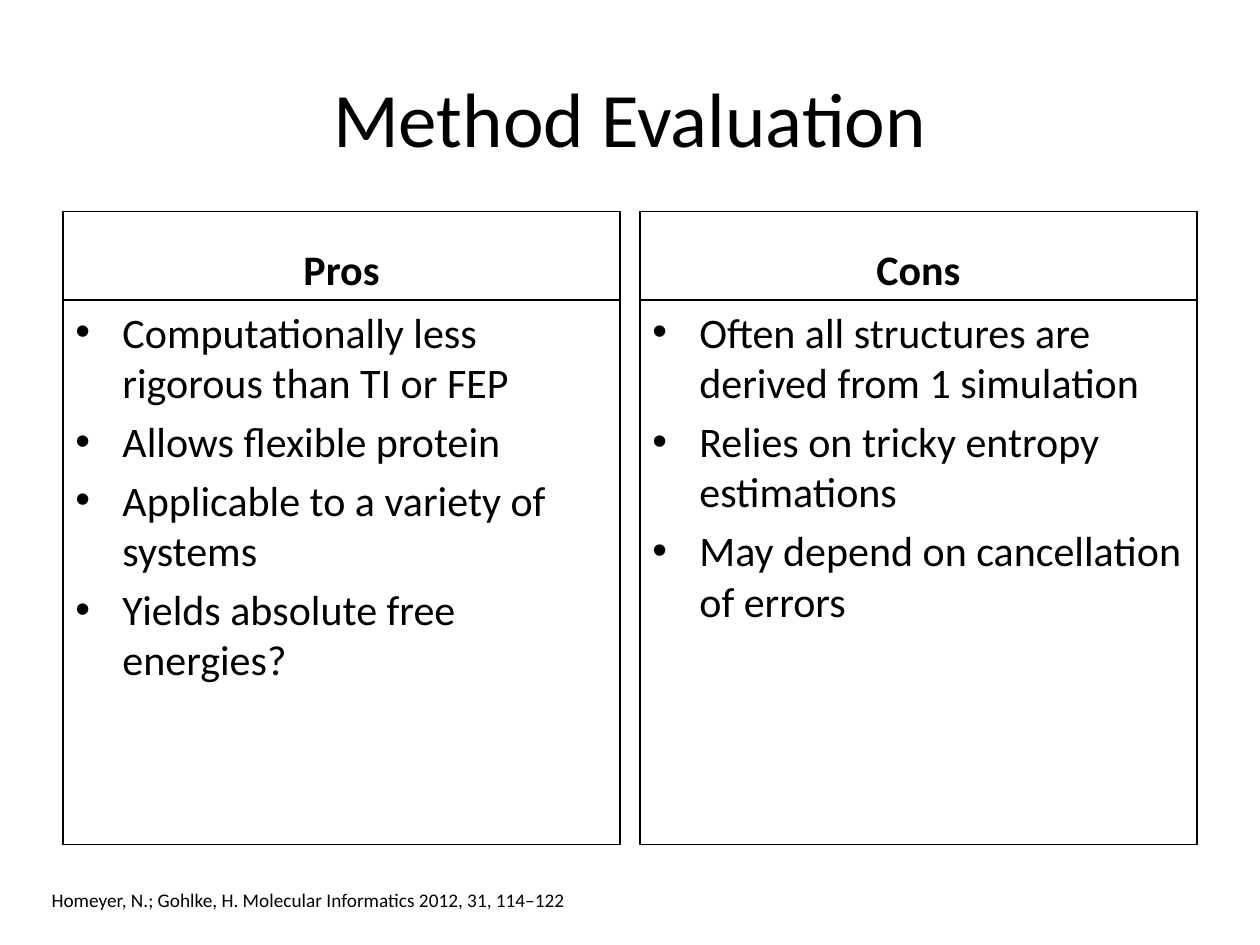
"""Build the Method Evaluation slide: pros and cons in two columns with a citation."""
from dataclasses import dataclass

from lxml.etree import SubElement
from pptx import Presentation
from pptx.dml.color import RGBColor
from pptx.enum.shapes import MSO_SHAPE as Preset
from pptx.enum.text import MSO_ANCHOR as Anchor, PP_ALIGN as Align
from pptx.oxml.ns import qn
from pptx.shapes.autoshape import Shape
from pptx.slide import Slide
from pptx.text.text import _Paragraph as Paragraph
from pptx.util import Cm, Pt

BLACK = "000000"
COLUMN_WIDTH, HEADING_TOP, HEADING_HEIGHT, POINTS_HEIGHT = 11.23, 4.27, 1.78, 10.97
HANGING_INDENT = Cm(0.95)


@dataclass(frozen=True)
class Column:
    left: float
    heading: str
    points: tuple[str, ...]


@dataclass(frozen=True)
class Area:
    left: float
    top: float
    width: float
    height: float

    def lengths(self) -> tuple[Cm, Cm, Cm, Cm]:
        return Cm(self.left), Cm(self.top), Cm(self.width), Cm(self.height)


COLUMNS = (
    Column(1.27, "Pros", (
        "Computationally less rigorous than TI or FEP",
        "Allows flexible protein",
        "Applicable to a variety of systems",
        "Yields absolute free energies?",
    )),
    Column(12.9, "Cons", (
        "Often all structures are derived from 1 simulation",
        "Relies on tricky entropy estimations",
        "May depend on cancellation of errors",
    )),
)


def colour(value: str) -> RGBColor:
    return RGBColor.from_string(value)


def add_bullet(paragraph: Paragraph) -> None:
    properties = paragraph._p.get_or_add_pPr()
    properties.set("marL", str(HANGING_INDENT))
    properties.set("indent", str(-HANGING_INDENT))
    SubElement(properties, qn("a:buFont")).set("typeface", "Arial")
    SubElement(properties, qn("a:buChar")).set("char", "•")


def write(shape: Shape, lines: tuple[str, ...], size: float, *, bold: bool = False,
          align: Align = Align.LEFT, anchor: Anchor = Anchor.TOP,
          bulleted: bool = False) -> None:
    frame = shape.text_frame
    frame.word_wrap = True
    frame.vertical_anchor = anchor
    font_format = {"name": "Calibri", "size": Pt(size), "bold": bold}
    for index, line in enumerate(lines):
        paragraph = frame.add_paragraph() if index else frame.paragraphs[0]
        paragraph.text = line
        if bulleted:
            add_bullet(paragraph)
        paragraph.alignment = align
        if index:
            paragraph.space_before = Pt(size * 0.2)
        font = paragraph.runs[0].font
        for attribute, value in font_format.items():
            setattr(font, attribute, value)
        font.color.rgb = colour(BLACK)


def add_text(slide: Slide, area: Area) -> Shape:
    return slide.shapes.add_textbox(*area.lengths())


def add_frame(slide: Slide, area: Area) -> Shape:
    frame = slide.shapes.add_shape(Preset.RECTANGLE, *area.lengths())
    frame.shadow.inherit = False
    frame.fill.background()
    frame.line.color.rgb = colour(BLACK)
    frame.line.width = Pt(0.75)
    return frame


def add_column(slide: Slide, column: Column) -> None:
    heading = add_frame(slide, Area(column.left, HEADING_TOP, COLUMN_WIDTH, HEADING_HEIGHT))
    write(heading, (column.heading,), 24, bold=True, align=Align.CENTER, anchor=Anchor.BOTTOM)
    points = add_frame(slide, Area(column.left, HEADING_TOP + HEADING_HEIGHT,
                                   COLUMN_WIDTH, POINTS_HEIGHT))
    write(points, column.points, 24, bulleted=True)


def main() -> None:
    deck = Presentation()
    deck.slide_width, deck.slide_height = Cm(25.4), Cm(19.05)
    slide = deck.slides.add_slide(deck.slide_layouts[6])
    title = add_text(slide, Area(1.27, 0.76, 22.86, 3.18))
    write(title, ("Method Evaluation",), 44, align=Align.CENTER, anchor=Anchor.MIDDLE)
    for column in COLUMNS:
        add_column(slide, column)
    citation = add_text(slide, Area(0.79, 17.78, 13.72, 0.74))
    write(citation, ("Homeyer, N.; Gohlke, H. Molecular Informatics 2012, 31, 114–122",), 11)
    deck.save("out.pptx")


if __name__ == "__main__":
    main()
